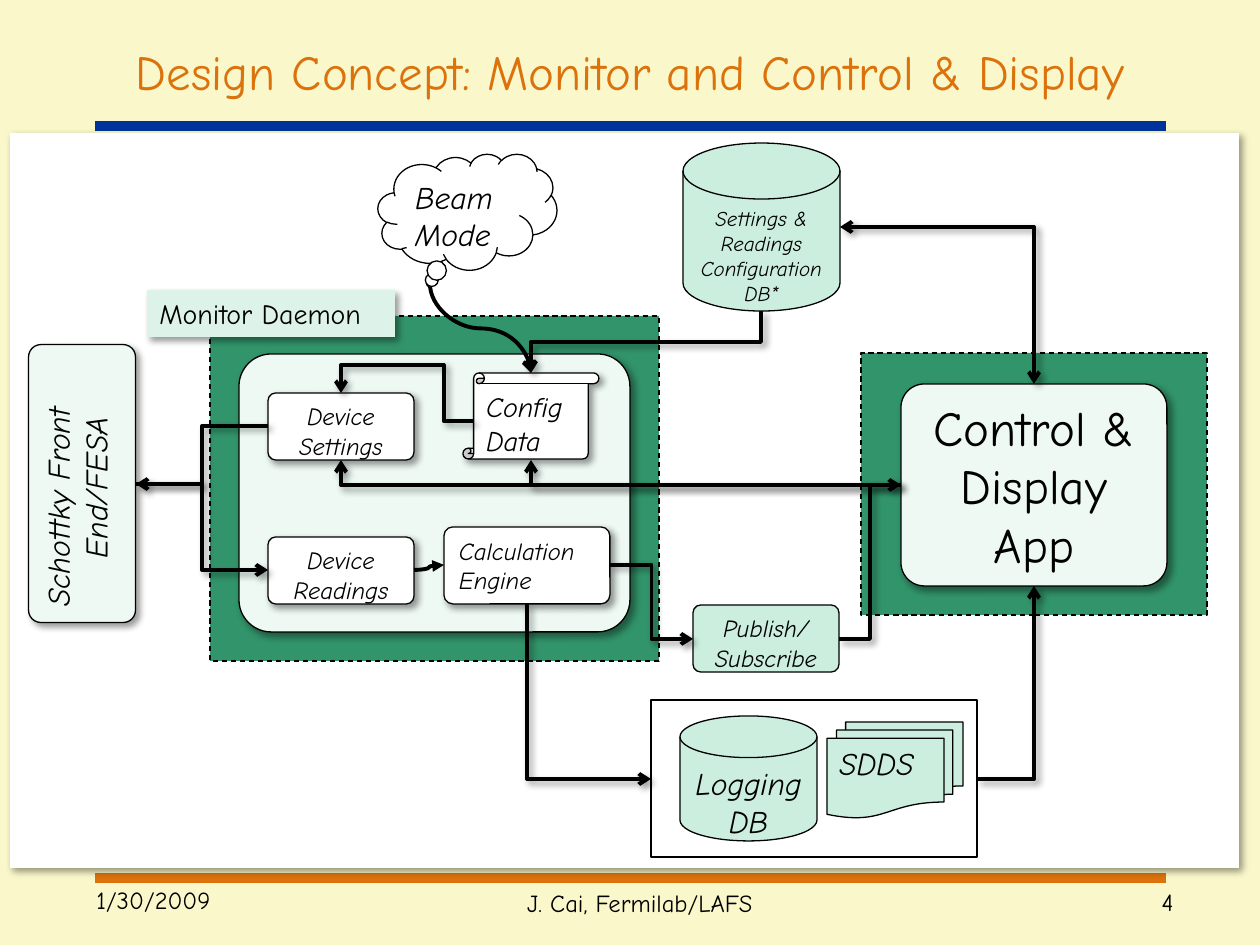
"""Build the monitor and control design concept slide."""
from lxml import etree
from pptx import Presentation
from pptx.dml.color import RGBColor
from pptx.enum.dml import MSO_LINE
from pptx.enum.shapes import MSO_CONNECTOR, MSO_SHAPE
from pptx.enum.text import MSO_ANCHOR, PP_ALIGN
from pptx.oxml import parse_xml
from pptx.oxml.ns import nsdecls, qn
from pptx.util import Pt

PX = 7257
FONT = "Comic Neue"
LEFT, CENTER, RIGHT = PP_ALIGN.LEFT, PP_ALIGN.CENTER, PP_ALIGN.RIGHT
TOP, MIDDLE = MSO_ANCHOR.TOP, MSO_ANCHOR.MIDDLE
STRAIGHT, ELBOW, CURVE = MSO_CONNECTOR.STRAIGHT, MSO_CONNECTOR.ELBOW, MSO_CONNECTOR.CURVE
DASH = MSO_LINE.DASH
RECT, ROUND = MSO_SHAPE.RECTANGLE, MSO_SHAPE.ROUNDED_RECTANGLE
DISK, SCROLL = MSO_SHAPE.FLOWCHART_MAGNETIC_DISK, MSO_SHAPE.VERTICAL_SCROLL
PAPERS, CLOUD = MSO_SHAPE.FLOWCHART_MULTIDOCUMENT, MSO_SHAPE.CLOUD_CALLOUT
COLORS = {
    "cream": "FAF8CA", "orange": "DB720C", "blue": "003399", "white": "FFFFFF",
    "black": "000000", "green": "32946A", "pale": "EEF9F4", "mint": "CCEEDF",
    "label": "DDF3EA",
}
RGB = {name: RGBColor.from_string(value) for name, value in COLORS.items()}
NO_SHADOW = f"<a:effectLst {nsdecls('a')}/>"
SHADOW = (
    f"<a:effectLst {nsdecls('a')}>"
    '<a:outerShdw blurRad="50800" dist="38100" dir="2700000" algn="tl" rotWithShape="0">'
    '<a:srgbClr val="000000"><a:alpha val="40000"/></a:srgbClr>'
    "</a:outerShdw></a:effectLst>"
)

deck = Presentation()
deck.slide_width, deck.slide_height = 1260 * PX, 945 * PX
slide = deck.slides.add_slide(deck.slide_layouts[5])
shapes = slide.shapes
slide.background.fill.solid()
slide.background.fill.fore_color.rgb = RGB["cream"]


def write(holder, text, size=14, color="black", align=CENTER, anchor=TOP, italic=False, hanging=0):
    frame = holder.text_frame
    frame.word_wrap = True
    frame.vertical_anchor = anchor
    paragraph = frame.paragraphs[0]
    paragraph.text = text
    paragraph.alignment = align
    if hanging:
        properties = paragraph._p.get_or_add_pPr()
        properties.set("marL", str(hanging * PX))
        properties.set("indent", str(-hanging * PX))
    font = paragraph.runs[0].font
    font.name, font.size, font.italic = FONT, Pt(size), italic
    font.color.rgb = RGB[color]


def add_box(kind, place, fill, shadow=False, outline=True, dash=None, turn=0, adjust=(), text="", **style):
    box = shapes.add_shape(kind, *(v * PX for v in place))
    box.rotation = turn
    for index, value in enumerate(adjust):
        box.adjustments[index] = value
    box.fill.solid()
    box.fill.fore_color.rgb = RGB[fill]
    if outline:
        box.line.color.rgb = RGB["black"]
        box.line.width = Pt(0.75)
        box.line.dash_style = dash
    else:
        box.line.fill.background()
    box._element.spPr.append(parse_xml(SHADOW if shadow else NO_SHADOW))
    if text:
        write(box, text, **style)


for y, color in ((878, "orange"), (126, "blue")):
    rule = shapes.add_connector(STRAIGHT, 95 * PX, y * PX, 1166 * PX, y * PX)
    rule.line.color.rgb = RGB[color]
    rule.line.width = Pt(6)
    rule._element.spPr.append(parse_xml(NO_SHADOW))

title = shapes.title
title.left, title.top, title.width, title.height = (v * PX for v in (63, 38, 1134, 66))
write(title, "Design Concept: Monitor and Control & Display", size=28, color="orange", anchor=MIDDLE)

for place, text, align in (
    ((84, 879, 189, 66), "1/30/2009", LEFT),
    ((1052, 881, 134, 53), "4", RIGHT),
    ((262, 882, 756, 63), "J. Cai, Fermilab/LAFS", CENTER),
):
    write(shapes.add_textbox(*(v * PX for v in place)), text, align=align)

add_box(RECT, (10, 133, 1229, 735), "white", shadow=True, outline=False)
add_box(RECT, (861, 353, 346, 262), "green", dash=DASH)
add_box(RECT, (651, 700, 326, 157), "white")
add_box(RECT, (210, 316, 449, 345), "green", dash=DASH)

for place, fill, shadow, turn, text, style in (
    ((239, 354, 391, 278), "pale", True, 0, "", {}),
    ((901, 384, 266, 202), "pale", True, 0, "Control & Display App", {"size": 28}),
    ((-57, 430, 278, 107), "pale", True, 270, "Schottky Front End/FESA",
     {"size": 18, "align": LEFT, "italic": True, "hanging": 48}),
    ((268, 393, 146, 67), "white", True, 0, "Device Settings", {"italic": True}),
    ((444, 527, 166, 77), "white", True, 0, "Calculation Engine", {"align": LEFT, "italic": True}),
    ((693, 605, 146, 67), "mint", False, 0, "Publish/ Subscribe", {"italic": True}),
    ((268, 537, 146, 67), "white", True, 0, "Device Readings", {"italic": True}),
):
    add_box(ROUND, place, fill, shadow, turn=turn, adjust=(0.116,), text=text, **style)

add_box(DISK, (683, 143, 157, 168), "mint", text="Settings & Readings Configuration DB*", size=12, italic=True)
add_box(DISK, (680, 716, 137, 125), "mint", text="Logging DB", size=18, italic=True)
add_box(SCROLL, (463, 373, 136, 86), "white", shadow=True, text="Config Data", size=16, align=LEFT, italic=True)
add_box(PAPERS, (827, 722, 136, 96), "mint", text="SDDS", size=18, align=LEFT, italic=True, hanging=48)

for start, end, preset, turn, flip, bends, head, tail in (
    ((473, 421), (341, 393), "bentConnector4", 180, "", (22200, 200000), "none", "arrow"),
    ((761, 311), (531, 373), "bentConnector3", 90, "", (50000,), "none", "arrow"),
    ((268, 426), (136, 484), "bentConnector3", 180, "flipV", (50000,), "none", "arrow"),
    ((136, 484), (268, 570), "bentConnector3", 0, "", (50000,), "none", "arrow"),
    ((1034, 384), (840, 227), "bentConnector2", 270, "flipV", (), "arrow", "arrow"),
    ((901, 485), (531, 460), "bentConnector2", 180, "", (), "none", "arrow"),
    ((901, 485), (341, 460), "bentConnector2", 180, "", (), "none", "arrow"),
    ((527, 604), (651, 779), "bentConnector2", 270, "flipH", (), "none", "arrow"),
    ((430, 284), (531, 373), "curvedConnector3", 270, "flipH", (50000,), "none", "arrow"),
    ((610, 565), (693, 639), "bentConnector3", 0, "", (50000,), "none", "arrow"),
    ((839, 639), (901, 485), "bentConnector3", 0, "flipV", (50000,), "none", "arrow"),
    ((977, 779), (1034, 586), "bentConnector2", 0, "flipV", (), "none", "arrow"),
    ((414, 570), (444, 565), "curvedConnector3", 0, "flipV", (50000,), "none", "triangle"),
):
    curved = preset.startswith("curved")
    width, height = (abs(b - a) * PX for a, b in zip(start, end))
    if turn in (90, 270):
        width, height = height, width
    left = ((start[0] + end[0]) * PX - width) // 2
    top = ((start[1] + end[1]) * PX - height) // 2
    flow = shapes.add_connector(CURVE if curved else ELBOW, left, top, left + width, top + height)
    flow.line.color.rgb = RGB["black"]
    flow.line.width = Pt(2.25)
    properties = flow._element.spPr
    frame = properties.find(qn("a:xfrm"))
    frame.set("rot", str(turn * 60000))
    if flip:
        frame.set(flip, "1")
    geometry = properties.find(qn("a:prstGeom"))
    geometry.set("prst", preset)
    guides = geometry.find(qn("a:avLst"))
    for index, bend in enumerate(bends, 1):
        etree.SubElement(guides, qn("a:gd"), name=f"adj{index}", fmla=f"val {bend}")
    stroke = properties.find(qn("a:ln"))
    etree.SubElement(stroke, qn("a:headEnd"), type=head)
    etree.SubElement(stroke, qn("a:tailEnd"), type=tail)
    properties.append(parse_xml(NO_SHADOW if curved else SHADOW))

add_box(CLOUD, (378, 154, 179, 116), "white", adjust=(-0.21, 0.62), text="Beam Mode", size=18, align=LEFT, italic=True)
add_box(RECT, (147, 290, 248, 47), "label", shadow=True, outline=False, text="Monitor Daemon", size=16, align=LEFT)

deck.save("out.pptx")
